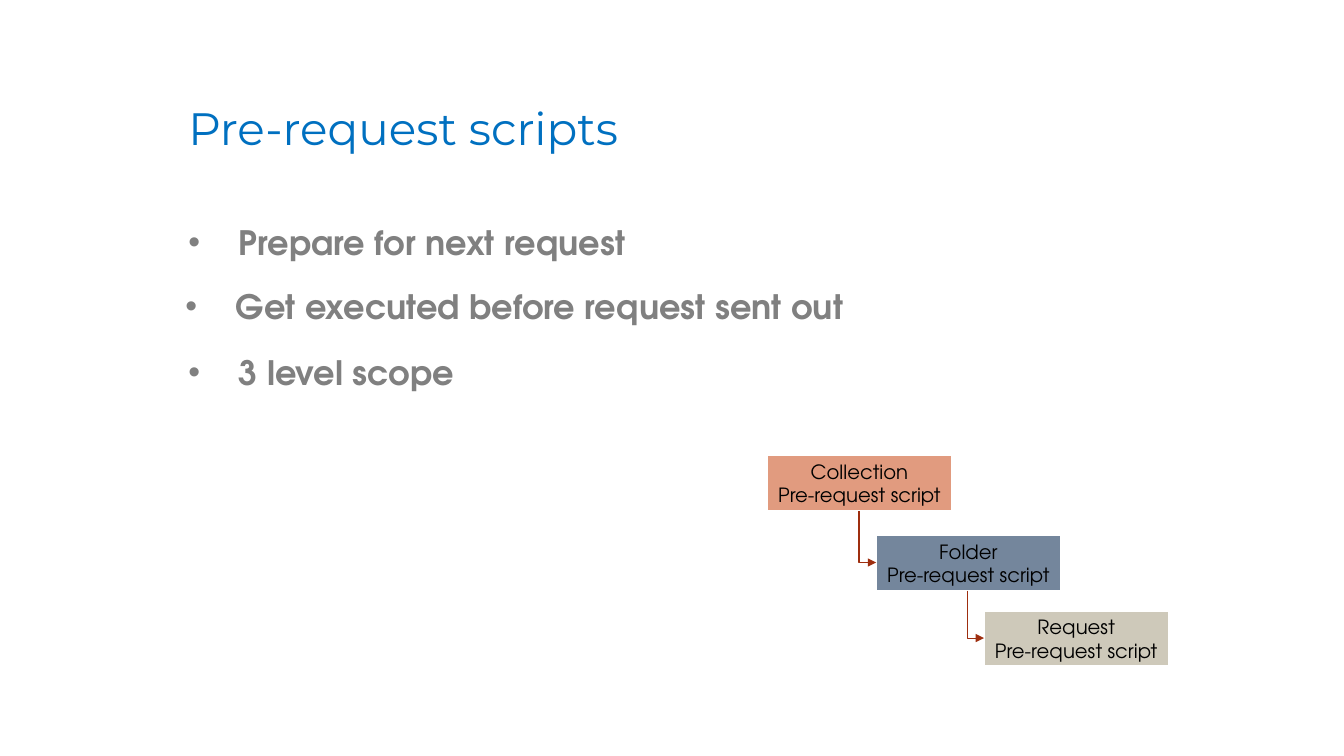
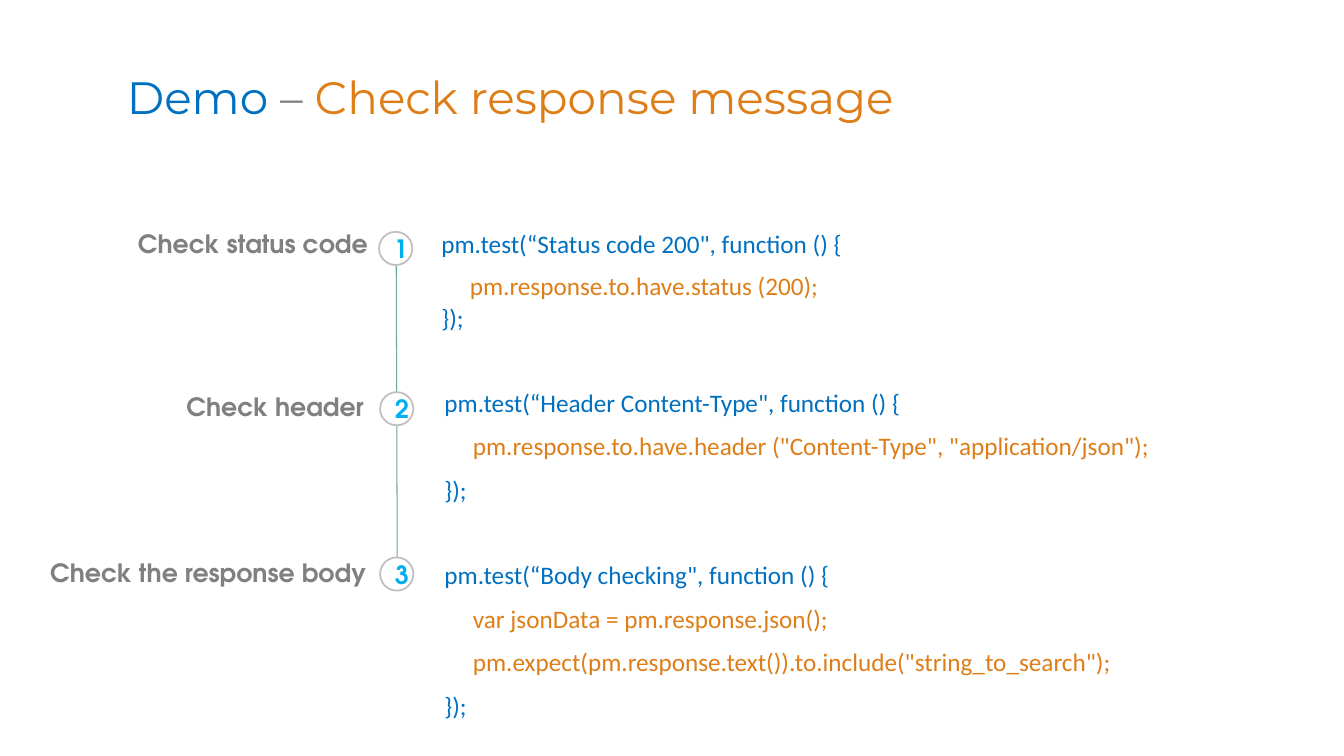
from lxml import etree
from pptx import Presentation, util as u
from pptx.dml.color import RGBColor
from pptx.enum import shapes, text
from pptx.oxml.ns import qn

BLUE = RGBColor(0x00, 0x70, 0xC0)
ORANGE = RGBColor(0xDE, 0x7E, 0x18)
GRAY = RGBColor(0x80, 0x80, 0x80)
SILVER = RGBColor(0xBF, 0xBF, 0xBF)
CYAN = RGBColor(0x00, 0xB0, 0xF0)
TEAL = RGBColor(0x6A, 0xAC, 0x91)
RUST = RGBColor(0x9E, 0x2E, 0x0F)
SALMON = RGBColor(0xE1, 0x9B, 0x7F)
SLATE = RGBColor(0x74, 0x86, 0x9C)
SAND = RGBColor(0xCE, 0xC9, 0xBA)
BLACK = RGBColor(0, 0, 0)
WHITE = RGBColor(0xFF, 0xFF, 0xFF)

TITLE_FONT, BODY_FONT, CODE_FONT = "Montserrat", "TeX Gyre Adventor", "Calibri"
PX = 9144  # EMU, 100 px to the inch


def px(*lengths):
    return [u.Emu(round(length * PX)) for length in lengths]


class Deck:
    def __init__(self, width, height):
        self.prs = Presentation()
        self.prs.slide_width, self.prs.slide_height = px(width, height)
        self.slide = None

    def new_slide(self):
        self.slide = self.prs.slides.add_slide(self.prs.slide_layouts[6])

    def run(self, paragraph, wording, font, size, color, bold=False):
        run = paragraph.add_run()
        run.text = wording
        run.font.name, run.font.size, run.font.bold = font, u.Pt(size), bold
        run.font.color.rgb = color

    def text_frame(self, left, top, width, height, wrap=True):
        frame = self.slide.shapes.add_textbox(*px(left, top, width, height)).text_frame
        frame.word_wrap = wrap
        return frame

    def title(self, left, top, width, *parts):
        """Each part is a (wording, color) pair."""
        paragraph = self.text_frame(left, top, width, 73).paragraphs[0]
        for wording, color in parts:
            self.run(paragraph, wording, TITLE_FONT, 32.4, color)

    def bullet(self, left, top, width, wording):
        paragraph = self.text_frame(left, top, width, 50).paragraphs[0]
        properties = paragraph._p.get_or_add_pPr()
        hanging = px(50)[0]
        properties.set("marL", str(hanging))
        properties.set("indent", str(-hanging))
        etree.SubElement(properties, qn("a:buFont")).set("typeface", "Arial")
        etree.SubElement(properties, qn("a:buChar")).set("char", "•")
        self.run(paragraph, wording, BODY_FONT, 24, GRAY, True)

    def label(self, left, top, width, wording):
        paragraph = self.text_frame(left, top, width, 40, wrap=False).paragraphs[0]
        self.run(paragraph, wording, BODY_FONT, 18, GRAY, True)

    def node(self, kind, at, fill, outline, lines, size, color, bold=False):
        """Outlined shape with centred lines of text."""
        shape = self.slide.shapes.add_shape(kind, *px(*at))
        shape.shadow.inherit = False
        shape.fill.solid()
        shape.fill.fore_color.rgb = fill
        shape.line.color.rgb, shape.line.width = outline, u.Pt(1.25)
        frame = shape.text_frame
        frame.word_wrap = True
        frame.vertical_anchor = text.MSO_ANCHOR.MIDDLE
        for index, line in enumerate(lines):
            paragraph = frame.add_paragraph() if index else frame.paragraphs[0]
            paragraph.alignment = text.PP_ALIGN.CENTER
            self.run(paragraph, line, BODY_FONT, size, color, bold)
        return shape

    def scope_box(self, left, top, fill, scope):
        box = self.node(shapes.MSO_SHAPE.RECTANGLE, (left, top, 183, 55), fill, WHITE,
                        (scope, "Pre-request script"), 14, BLACK)
        box.text_frame.margin_left = box.text_frame.margin_right = 0

    def step_number(self, left, top, number):
        self.node(shapes.MSO_SHAPE.FLOWCHART_CONNECTOR, (left, top, 33, 33), WHITE, SILVER,
                  (str(number),), 18, CYAN, True)

    def connector(self, kind, start, end, color):
        line = self.slide.shapes.add_connector(kind, *px(*start, *end))
        line.line.color.rgb, line.line.width = color, u.Pt(0.75)
        etree.SubElement(line._element.spPr, qn("a:effectLst"))
        return line

    def down_right_arrow(self, start, end):
        """One-bend arrow: a quarter turn of a mirrored elbow."""
        across, drop = end[0] - start[0], end[1] - start[1]
        left = (start[0] + end[0] - drop) / 2
        top = (start[1] + end[1] - across) / 2
        arrow = self.connector(shapes.MSO_CONNECTOR.ELBOW, (left, top),
                               (left + drop, top + across), RUST)
        properties = arrow._element.spPr
        properties.find(qn("a:prstGeom")).set("prst", "bentConnector2")
        frame = properties.find(qn("a:xfrm"))
        frame.set("rot", str(270 * 60000))
        frame.set("flipH", "1")
        etree.SubElement(properties.find(qn("a:ln")), qn("a:tailEnd")).set("type", "triangle")

    def code(self, left, top, width, height, lines, tight_body=False):
        """Indented lines are orange; a tight body has no extra spacing."""
        frame = self.text_frame(left, top, width, height)
        for index, line in enumerate(lines):
            paragraph = frame.add_paragraph() if index else frame.paragraphs[0]
            indented = line.startswith(" ")
            if not (indented and tight_body):
                paragraph.line_spacing, paragraph.space_after = 1.07, u.Pt(8)
            self.run(paragraph, line, CODE_FONT, 18, ORANGE if indented else BLUE)


def scripts_slide(deck):
    deck.new_slide()
    deck.title(177, 94, 654, ("Pre-request scripts", BLUE))
    deck.bullet(177, 215, 654, "Prepare for next request")
    deck.bullet(174, 279, 695, "Get executed before request sent out")
    deck.bullet(177, 344, 396, "3 level scope")

    scopes = [(761, 452, SALMON, "Collection"), (869, 531, SLATE, "Folder"),
              (976, 606, SAND, "Request")]
    for scope in scopes:
        deck.scope_box(*scope)
    for (left, top, *_), (next_left, next_top, *_) in zip(scopes, scopes[1:]):
        deck.down_right_arrow((left + 91, top + 55), (next_left, next_top + 27))


def demo_slide(deck):
    deck.new_slide()
    deck.title(116, 64, 837, ("Demo ", BLUE), ("– ", GRAY), ("Check response message", ORANGE))
    deck.label(127, 222, 250, "Check status code")
    deck.label(175, 383, 198, "Check header")
    deck.label(40, 548, 336, "Check the response body")

    deck.connector(shapes.MSO_CONNECTOR.STRAIGHT, (393, 263), (394, 553), TEAL)
    for number, (left, top) in enumerate([(376, 230), (377, 389), (377, 553)], 1):
        deck.step_number(left, top, number)

    deck.code(428, 220, 463, 116, [
        'pm.test(“Status code 200", function () {',
        "     pm.response.to.have.status (200);",
        "});"], tight_body=True)
    deck.code(431, 377, 746, 130, [
        'pm.test(“Header Content-Type", function () {',
        '     pm.response.to.have.header ("Content-Type", "application/json");',
        "});"])
    deck.code(431, 548, 746, 173, [
        'pm.test(“Body checking", function () {',
        "     var jsonData = pm.response.json();",
        '     pm.expect(pm.response.text()).to.include("string_to_search");',
        "});"])


def main():
    deck = Deck(1333, 750)
    scripts_slide(deck)
    demo_slide(deck)
    deck.prs.save("out.pptx")


if __name__ == "__main__":
    main()
